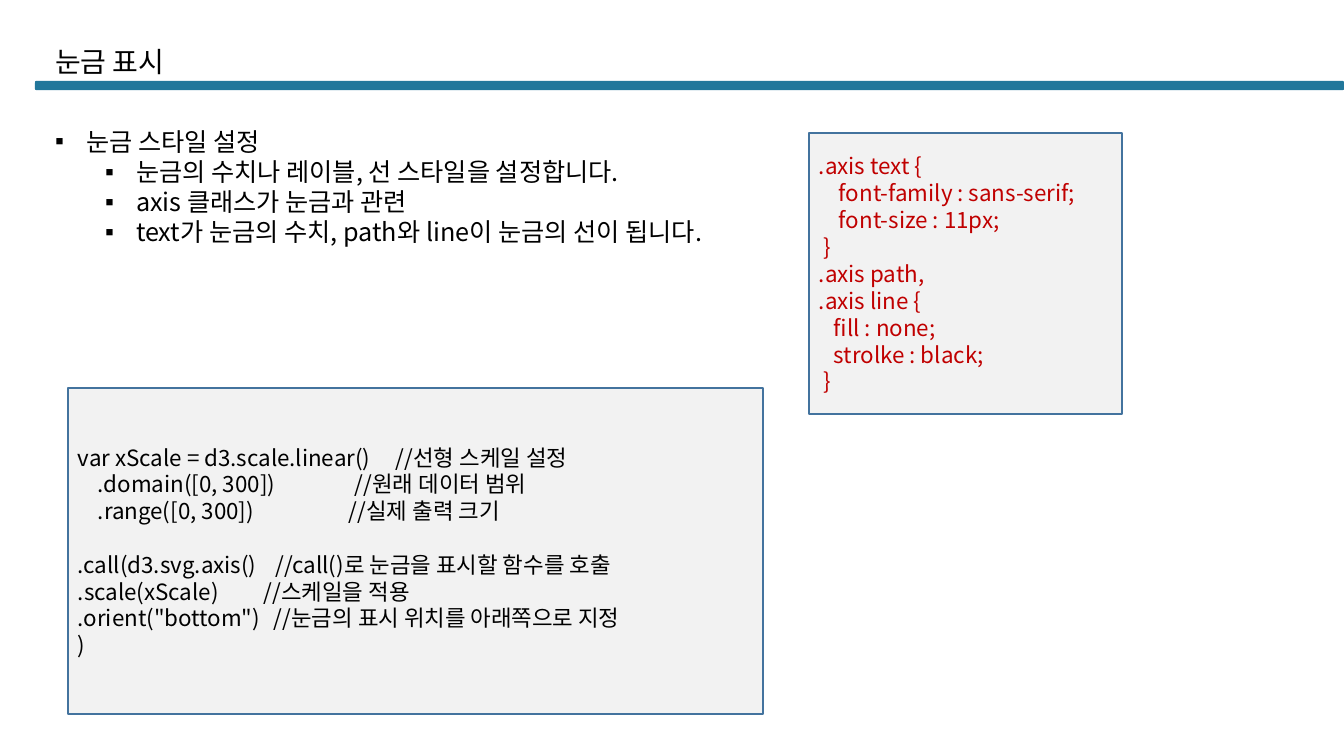
from lxml import etree
from pptx import Presentation
from pptx.dml.color import RGBColor
from pptx.enum.shapes import MSO_SHAPE
from pptx.enum.text import MSO_ANCHOR, MSO_AUTO_SIZE, PP_ALIGN
from pptx.oxml.ns import qn
from pptx.util import Pt

RECT, ROUND = MSO_SHAPE.RECTANGLE, MSO_SHAPE.ROUNDED_RECTANGLE
TOP, MIDDLE = MSO_ANCHOR.TOP, MSO_ANCHOR.MIDDLE
LEFT, NO_FIT = PP_ALIGN.LEFT, MSO_AUTO_SIZE.NONE
EMU_PER_PX = 914400 / 100.8
FONT = "Noto Sans CJK KR"
COLORS = {"text": "000000", "code": "C00000", "bar": "22779B",
          "panel": "F2F2F2", "border": "43739E"}

BULLETS = [
    (0, "눈금 스타일 설정"),
    (1, "눈금의 수치나 레이블, 선 스타일을 설정합니다."),
    (1, "axis 클래스가 눈금과 관련"),
    (1, "text가 눈금의 수치, path와 line이 눈금의 선이 됩니다."),
]
CSS_LINES = [
    (".axis text {", [], 0),
    ("\tfont-family : sans-serif;", [20], 0),
    ("\tfont-size : 11px;", [20], 0),
    (" }", [], 0),
    (".axis path,", [], 0),
    (".axis line {", [], 0),
    ("\tfill : none;", [15], 0),
    ("\tstrolke : black;", [15], 0),
    (" }", [], 0),
]
SCRIPT_LINES = [
    ("var xScale = d3.scale.linear()\t//선형 스케일 설정", [318], 0),
    ("\t.domain([0, 300])\t//원래 데이터 범위", [20, 277], 0),
    ("\t.range([0, 300])\t//실제 출력 크기", [20, 271], 0),
    (".call(d3.svg.axis()\t//call()로 눈금을 표시할 함수를 호출", [198], 19),
    (".scale(xScale)\t//스케일을 적용", [186], 0),
    ('.orient("bottom")\t//눈금의 표시 위치를 아래쪽으로 지정', [196], 0),
    (")", [], 0),
]


def px(n):
    return round(n * EMU_PER_PX)


def rgb(name):
    return RGBColor.from_string(COLORS[name])


class SlideBuilder:
    """Draws styled elements on one slide, with lengths in px."""

    def __init__(self, prs):
        self.s = prs.slides.add_slide(prs.slide_layouts[1])

    def place(self, sp, box):
        sp.left, sp.top, sp.width, sp.height = map(px, box)

    def style(self, p, size, color="text", spacing=1.0, before=0):
        p.alignment = LEFT
        p.line_spacing = spacing
        p.space_before = Pt(before)
        for r in p.runs:
            r.font.size = Pt(size)
            r.font.name = FONT
            r.font.color.rgb = rgb(color)
            ea = etree.SubElement(r.font._element, qn("a:ea"))
            ea.set("typeface", FONT)

    def paragraphs(self, tf, lines):
        tf.text = "\n".join(lines)
        tf.word_wrap = True
        return tf.paragraphs

    def shape(self, kind, box, fill, line=None):
        sp = self.s.shapes.add_shape(kind, *map(px, box))
        sp.shadow.inherit = False
        sp.fill.solid()
        sp.fill.fore_color.rgb = rgb(fill)
        if line:
            sp.line.color.rgb = rgb(line)
            sp.line.width = Pt(1)
        else:
            sp.line.fill.background()
        return sp

    def bar(self, box):
        self.shape(ROUND, box, "bar").adjustments[0] = 0.13

    def title(self, text, box):
        sp = self.s.shapes.title
        self.place(sp, box)
        tf = sp.text_frame
        tf.auto_size = NO_FIT
        tf.vertical_anchor = TOP
        self.style(self.paragraphs(tf, [text])[0], 20, spacing=0.9)

    def bullets(self, items, box):
        sp = self.s.placeholders[1]
        self.place(sp, box)
        tf = sp.text_frame
        tf.auto_size = NO_FIT
        tf.vertical_anchor = TOP
        paragraphs = self.paragraphs(tf, [text for _, text in items])
        for p, (level, _) in zip(paragraphs, items):
            p.level = level
            self.style(p, 18)
            pPr = p._p.get_or_add_pPr()
            pPr.set("marL", str(px(31 + 50 * level)))
            pPr.set("indent", str(px(-31)))
            etree.SubElement(pPr, qn("a:buChar")).set("char", "▪")

    def code(self, lines, box, color):
        tf = self.shape(RECT, box, "panel", "border").text_frame
        tf.vertical_anchor = MIDDLE
        paragraphs = self.paragraphs(tf, [text for text, _, _ in lines])
        for p, (_, stops, before) in zip(paragraphs, lines):
            self.style(p, 16, color, before=before)
            if stops:
                tabs = etree.SubElement(p._p.get_or_add_pPr(), qn("a:tabLst"))
                for stop in stops:
                    tab = etree.SubElement(tabs, qn("a:tab"))
                    tab.set("pos", str(px(stop)))
                    tab.set("algn", "l")


def main():
    prs = Presentation()
    prs.slide_width, prs.slide_height = px(1344), px(756)
    slide = SlideBuilder(prs)
    slide.bar((35, 81, 1309, 9))
    slide.title("눈금 표시", (45, 43, 1210, 47))
    slide.bullets(BULLETS, (45, 121, 1150, 132))
    slide.code(CSS_LINES, (809, 133, 313, 281), "code")
    slide.code(SCRIPT_LINES, (68, 388, 695, 326), "text")
    prs.save("out.pptx")


if __name__ == "__main__":
    main()
